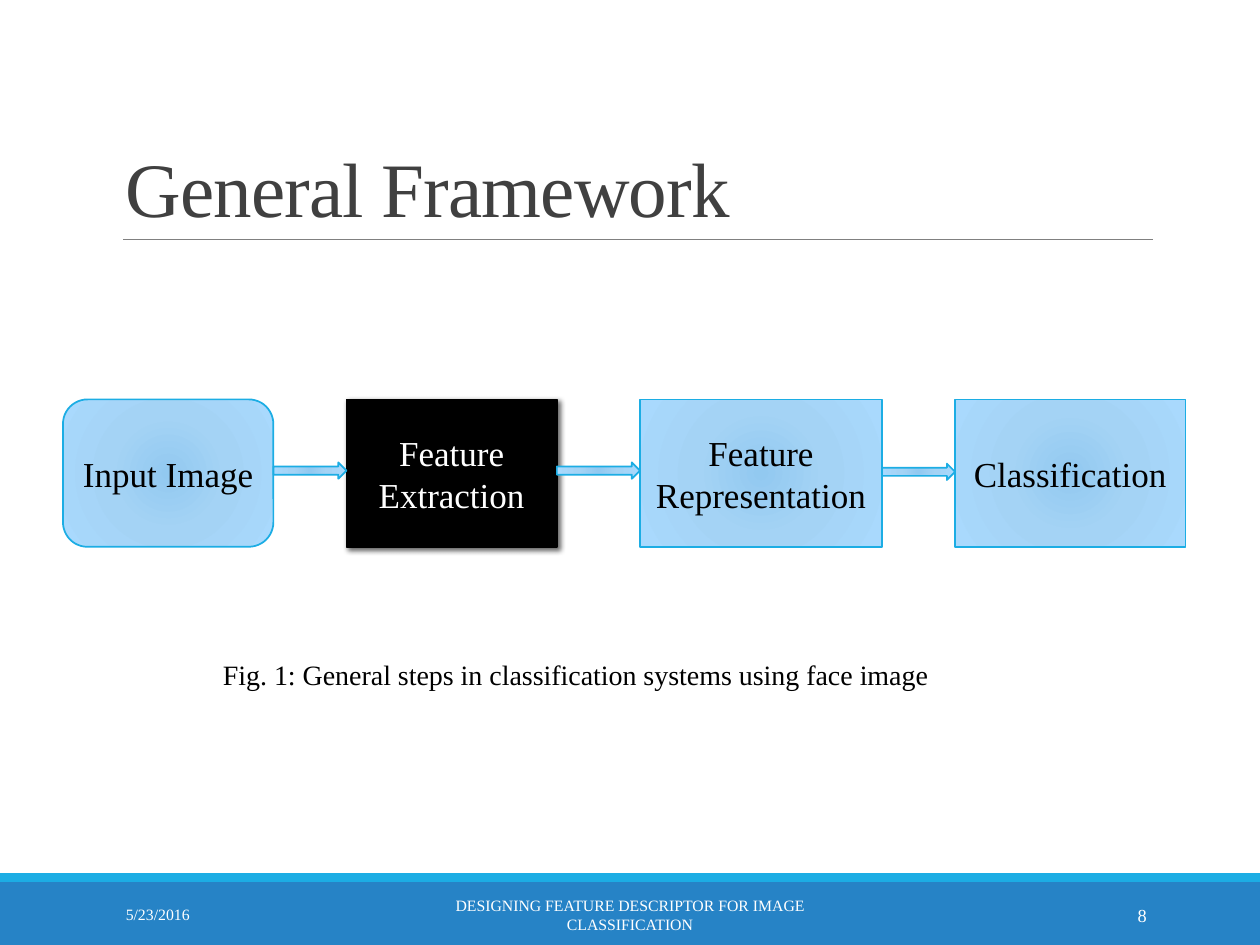
from lxml import etree
from pptx import Presentation
from pptx.dml.color import RGBColor
from pptx.enum.shapes import MSO_CONNECTOR, MSO_SHAPE as SHAPE
from pptx.enum.text import MSO_ANCHOR as ANCHOR, PP_ALIGN as ALIGN
from pptx.oxml import parse_xml
from pptx.oxml.ns import nsdecls, qn
from pptx.util import Inches, Pt

# Content
FONT = "Times New Roman"
TITLE = "General Framework"
CAPTION = "Fig. 1: General steps in classification systems using face image"
FOOTER = [  # text, left, width, size, alignment
    ("5/23/2016", 0.9, 2.03, 9, ALIGN.LEFT),
    ("DESIGNING FEATURE DESCRIPTOR FOR IMAGE CLASSIFICATION", 3.02, 3.96, 9, ALIGN.CENTER),
    ("8", 8.12, 1.08, 10.5, ALIGN.RIGHT),
]
STEPS = [  # text, left, width, preset, highlighted
    ("Input Image", 0.5, 1.67, SHAPE.ROUNDED_RECTANGLE, False),
    ("Feature Extraction", 2.75, 1.67, SHAPE.RECTANGLE, True),
    ("Feature Representation", 5.08, 1.92, SHAPE.RECTANGLE, False),
    ("Classification", 7.58, 1.83, SHAPE.RECTANGLE, False),
]
STEP_TOP, STEP_HEIGHT = 3.17, 1.17
ARROW_TOPS, ARROW_HEIGHT = (3.67, 3.67, 3.68), 0.13
STEP_GRADIENT = [(0, "92C9F0"), (45, "A4D3F5"), (100, "A9D9FD")]
SKY, BLUE = "1CADE4", "2683C6"
BLACK, WHITE = "000000", "FFFFFF"

prs = Presentation()
prs.slide_width, prs.slide_height = Inches(10), Inches(7.5)
slide = prs.slides.add_slide(prs.slide_layouts[6])
shapes = slide.shapes


def rgb(color):
    return RGBColor.from_string(color)


def write(shape, text, size, color, align, anchor):
    frame = shape.text_frame
    frame.word_wrap = True
    frame.vertical_anchor = anchor
    paragraph = frame.paragraphs[0]
    paragraph.text = text
    paragraph.alignment = align
    font = paragraph.font
    font.name, font.size, font.color.rgb = FONT, Pt(size), rgb(color)
    return paragraph


def add_text(box, *style):
    return write(shapes.add_textbox(*map(Inches, box)), *style)


def add_block(preset, box, fill=None, line=None):
    block = shapes.add_shape(preset, *map(Inches, box))
    block.shadow.inherit = False
    if fill:
        block.fill.solid()
        block.fill.fore_color.rgb = rgb(fill)
    if line:
        block.line.color.rgb = rgb(line)
        block.line.width = Pt(1)
    else:
        block.line.fill.background()
    return block


def add_gradient_block(preset, box):
    block = add_block(preset, box, line=SKY)
    stops = "".join(
        f'<a:gs pos="{pos * 1000}"><a:srgbClr val="{color}"/></a:gs>'
        for pos, color in STEP_GRADIENT)
    gradient = parse_xml(
        f'<a:gradFill {nsdecls("a")} rotWithShape="1"><a:gsLst>{stops}</a:gsLst>'
        '<a:path path="circle"><a:fillToRect l="100000" t="100000" r="100000" b="100000"/>'
        '</a:path></a:gradFill>')
    block._element.spPr.find(qn("a:prstGeom")).addnext(gradient)
    return block


def add_shadow(block):
    block._element.spPr.find(qn("a:effectLst")).append(parse_xml(
        f'<a:outerShdw {nsdecls("a")} blurRad="{Pt(3)}" dist="{Pt(2)}" dir="2700000" '
        f'rotWithShape="0"><a:srgbClr val="{BLACK}"><a:alpha val="60000"/></a:srgbClr>'
        '</a:outerShdw>'))


# Footer bands and title rule
add_block(SHAPE.RECTANGLE, (0, 7, 10, 0.5), BLUE)
add_block(SHAPE.RECTANGLE, (0, 6.93, 10, 0.07), SKY)
rule = shapes.add_connector(
    MSO_CONNECTOR.STRAIGHT, Inches(0.98), Inches(1.9), Inches(9.15), Inches(1.9))
rule.line.color.rgb, rule.line.width = rgb("808080"), Pt(0.5)
etree.SubElement(rule._element.spPr, qn("a:effectLst"))

# Title, slightly condensed
title = add_text((0.9, 0.31, 8.25, 1.59), TITLE, 44, "404040", ALIGN.LEFT, ANCHOR.BOTTOM)
title.line_spacing = 0.85
title.runs[0].font._element.set("spc", "-50")

# Footer texts
for text, left, width, size, align in FOOTER:
    add_text((left, 7.06, width, 0.4), text, size, WHITE, align, ANCHOR.MIDDLE)

# Steps
for text, left, width, preset, highlighted in STEPS:
    box = (left, STEP_TOP, width, STEP_HEIGHT)
    if highlighted:
        step = add_block(preset, box, BLACK, BLACK)
        add_shadow(step)
    else:
        step = add_gradient_block(preset, box)
    write(step, text, 20, WHITE if highlighted else BLACK, ALIGN.CENTER, ANCHOR.MIDDLE)

# Arrows fill the gaps between neighbouring steps
for (_, left, width, *_), (_, next_left, *_), top in zip(STEPS, STEPS[1:], ARROW_TOPS):
    start = left + width
    add_gradient_block(SHAPE.RIGHT_ARROW, (start, top, next_left - start, ARROW_HEIGHT))

# Caption
add_text((1.67, 5.17, 7.08, 0.37), CAPTION, 16, BLACK, ALIGN.JUSTIFY, ANCHOR.TOP)

prs.save("out.pptx")
